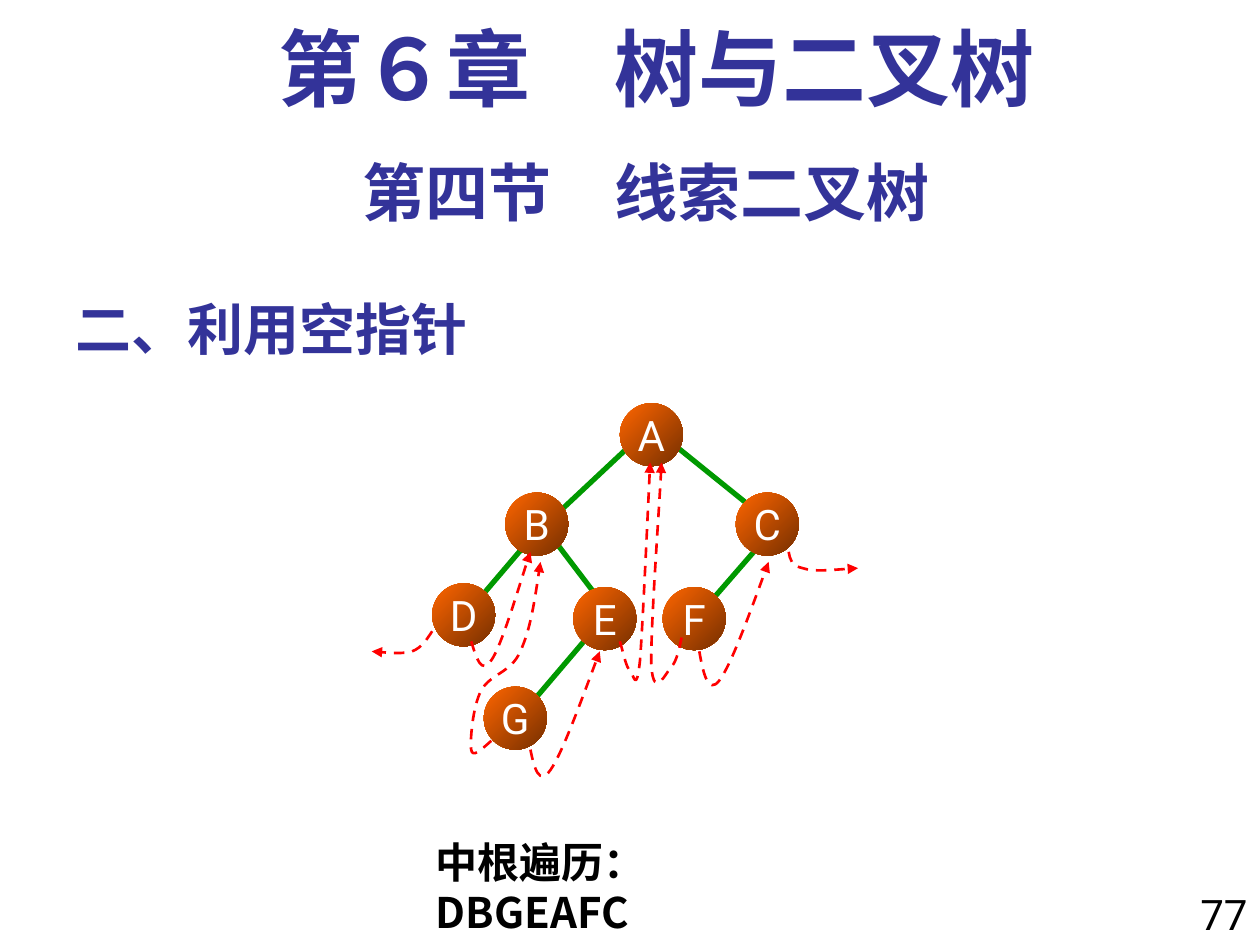
from lxml import etree
from pptx import Presentation
from pptx.dml.color import RGBColor
from pptx.enum import dml, shapes, text
from pptx.oxml import ns
from pptx.util import Inches, Pt

COLORS = {"heading": "333399", "ink": "000000", "node_text": "FFFFFF",
          "node_light": "FF6600", "node_dark": "762F00",
          "branch": "009900", "thread": "FF0000"}
CJK = "Noto Sans CJK SC"
LEFT, CENTER, RIGHT = text.PP_ALIGN.LEFT, text.PP_ALIGN.CENTER, text.PP_ALIGN.RIGHT
TOP, MIDDLE, BOTTOM = (text.MSO_ANCHOR.TOP, text.MSO_ANCHOR.MIDDLE,
                       text.MSO_ANCHOR.BOTTOM)

# words, (left, top, width, height), font, size, bold, colour, alignment, anchor, line spacing
TEXTS = [
    ("二、利用空指针", (0.5, 2.17, 6.25, 0.75), CJK, 32, True, "heading", LEFT, BOTTOM, 1.0),
    ("77", (9.33, 7, 0.67, 0.59), "Roboto", 24, False, "ink", RIGHT, TOP, 1.0),
    ("第四节　线索二叉树", (0.5, 1.17, 9.25, 0.7), "Roboto", 36, True, "heading", CENTER, TOP, 1.0),
    ("第６章　树与二叉树", (0.67, 0.17, 9.08, 0.83), "Times New Roman", 48, True,
     "heading", CENTER, TOP, 0.9),
    ("中根遍历：DBGEAFC", (3.36, 6.59, 3.35, 0.5), CJK, 24, True, "ink", LEFT, TOP, 1.0),
]

NODE_SIZE = 0.5
NODES = {"A": (4.92, 3.2), "D": (3.43, 4.63), "B": (4.01, 3.91), "F": (5.26, 4.66),
         "C": (5.84, 3.91), "G": (3.84, 5.45), "E": (4.55, 4.66)}

BRANCHES = {
    "AC": (5.3, 3.49, 5.92, 3.99), "AB": (5.05, 3.49, 4.42, 4.08),
    "BD": (4.3, 4.17, 3.84, 4.71), "BE": (4.34, 4.21, 4.72, 4.71),
    "CF": (6.13, 4.21, 5.67, 4.74), "EG": (4.72, 4.99, 4.26, 5.53),
}

# Each thread: a start point, then Bezier points in threes
THREADS = {
    "D to none": [(3.43, 5.01), (3.39, 5.07), (3.35, 5.14), (3.27, 5.17),
                  (3.19, 5.19), (3.07, 5.18), (2.95, 5.17)],
    "D to B": [(3.74, 5.09), (3.78, 5.22), (3.82, 5.36), (3.9, 5.24),
               (3.98, 5.13), (4.16, 4.52), (4.21, 4.38)],
    "G to B": [(3.9, 5.88), (3.82, 5.95), (3.75, 6.02), (3.74, 5.95),
               (3.73, 5.89), (3.75, 5.61), (3.82, 5.48),
               (3.89, 5.35), (4.06, 5.34), (4.13, 5.17),
               (4.21, 5), (4.25, 4.73), (4.29, 4.46)],
    "G to E": [(4.21, 5.95), (4.24, 6.1), (4.28, 6.24), (4.37, 6.11),
               (4.46, 5.98), (4.61, 5.57), (4.76, 5.17)],
    "E to A": [(4.92, 5.09), (4.95, 5.19), (4.97, 5.3), (5, 5.32),
               (5.03, 5.35), (5.05, 5.52), (5.08, 5.24),
               (5.1, 4.97), (5.13, 4.32), (5.16, 3.67)],
    "F to A": [(5.41, 5.06), (5.39, 5.15), (5.37, 5.25), (5.33, 5.29),
               (5.29, 5.33), (5.19, 5.56), (5.17, 5.29),
               (5.16, 5.02), (5.24, 3.94), (5.25, 3.67)],
    "F to C": [(5.55, 5.17), (5.58, 5.34), (5.62, 5.52), (5.71, 5.4),
               (5.8, 5.28), (5.95, 4.87), (6.1, 4.46)],
    "C to none": [(6.26, 4.38), (6.27, 4.44), (6.28, 4.49), (6.37, 4.51),
                  (6.46, 4.54), (6.64, 4.52), (6.81, 4.51)],
}


def color(name):
    return RGBColor.from_string(COLORS[name])


def write(shape, words, font, size, bold, ink, align, anchor, spacing=1.0):
    frame = shape.text_frame
    frame.vertical_anchor = anchor
    para = frame.paragraphs[0]
    para.alignment, para.line_spacing = align, spacing
    span = para.add_run()
    span.text = words
    for key, value in {"name": font, "size": Pt(size), "bold": bold}.items():
        setattr(span.font, key, value)
    span.font.color.rgb = color(ink)
    latin = span.font._element.find(ns.qn("a:latin"))
    latin.addnext(etree.Element(ns.qn("a:ea"), typeface=CJK))


def add_text(page, words, place, *style):
    box = page.shapes.add_textbox(*map(Inches, place))
    box.text_frame.word_wrap = True
    write(box, words, *style)


def add_branch(tree, ends):
    branch = tree.shapes.add_connector(shapes.MSO_CONNECTOR.STRAIGHT, *map(Inches, ends))
    branch.line.color.rgb = color("branch")
    branch.line.width = Pt(3)
    etree.SubElement(branch._element.spPr, ns.qn("a:effectLst"))


def add_node(tree, name, corner):
    place = (*corner, NODE_SIZE, NODE_SIZE)
    node = tree.shapes.add_shape(shapes.MSO_SHAPE.OVAL, *map(Inches, place))
    node.shadow.inherit = False
    node.line.fill.background()
    node.fill.gradient()
    node.fill.gradient_angle = 315  # counter-clockwise: light top left, dark bottom right
    for stop, shade in zip(node.fill.gradient_stops, ("node_light", "node_dark")):
        stop.color.rgb = color(shade)
    frame = node.text_frame
    frame.word_wrap = False
    frame.margin_left = frame.margin_right = 0
    write(node, name, "Roboto", 24, False, "node_text", CENTER, MIDDLE)


def add_thread(tree, points):
    """Draw a dashed Bezier curve with an arrowhead at its end."""
    start, *rest = [(Inches(x), Inches(y)) for x, y in points]
    builder = tree.shapes.build_freeform(*start)
    builder.add_line_segments(rest, close=False)
    thread = builder.convert_to_shape()
    thread.shadow.inherit = False
    thread.fill.background()
    thread.line.color.rgb = color("thread")
    thread.line.width = Pt(1.5)
    thread.line.dash_style = dml.MSO_LINE.DASH
    etree.SubElement(thread.line._get_or_add_ln(), ns.qn("a:tailEnd"), type="triangle")
    outline = next(thread._element.iter(ns.qn("a:path")))
    for index, segment in enumerate(outline.findall(ns.qn("a:lnTo"))):
        if index % 3 == 0:
            curve = etree.SubElement(outline, ns.qn("a:cubicBezTo"))
        curve.append(segment[0])
        outline.remove(segment)


def main():
    deck = Presentation()
    deck.slide_width, deck.slide_height = Inches(10), Inches(7.5)
    page = deck.slides.add_slide(deck.slide_layouts[6])
    for entry in TEXTS:
        add_text(page, *entry)
    tree = page.shapes.add_group_shape()
    for ends in BRANCHES.values():
        add_branch(tree, ends)
    for name, corner in NODES.items():
        add_node(tree, name, corner)
    for points in THREADS.values():
        add_thread(tree, points)
    deck.save("out.pptx")


if __name__ == "__main__":
    main()
